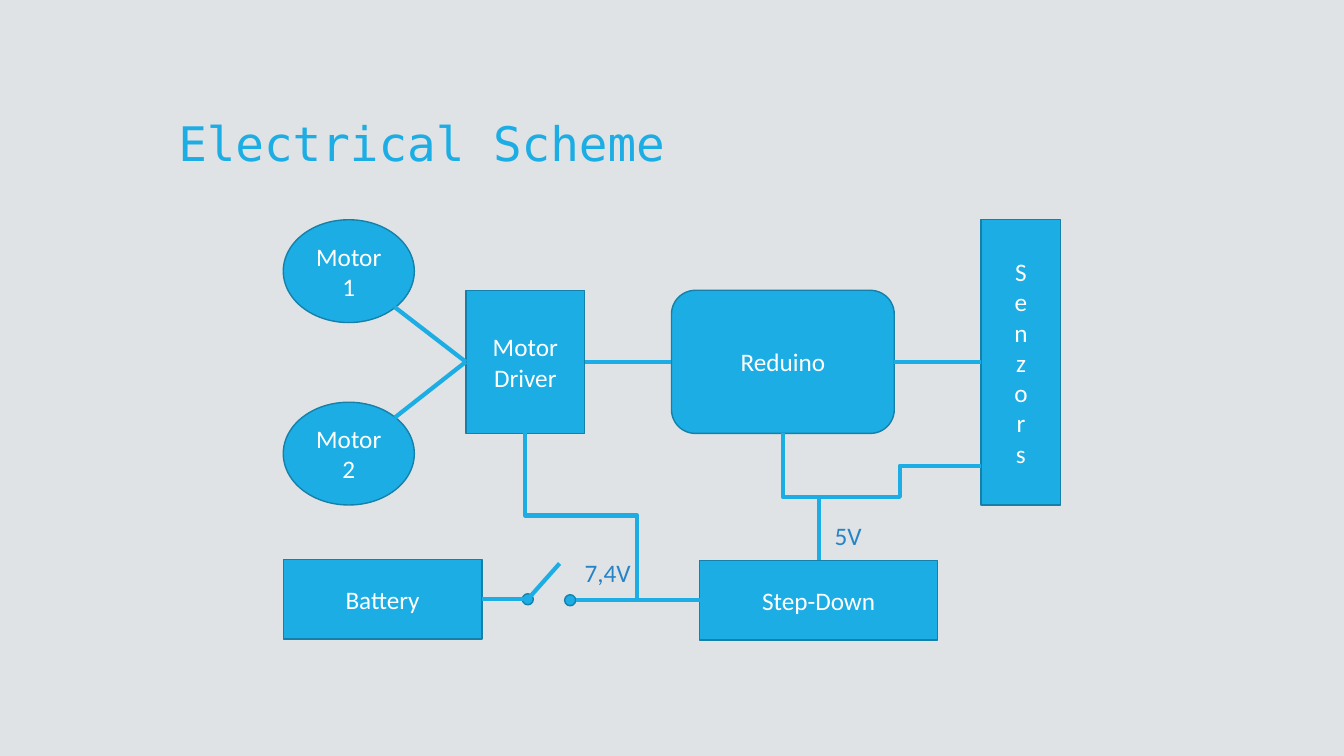
from pptx import Presentation
from pptx.dml.color import RGBColor
from pptx.enum.shapes import MSO_CONNECTOR, MSO_SHAPE
from pptx.enum.text import MSO_ANCHOR, PP_ALIGN
from pptx.oxml.ns import qn
from pptx.oxml.xmlchemy import OxmlElement
from pptx.util import Inches, Pt

RECT, ROUND, OVAL = MSO_SHAPE.RECTANGLE, MSO_SHAPE.ROUNDED_RECTANGLE, MSO_SHAPE.OVAL
STRAIGHT, ELBOW = MSO_CONNECTOR.STRAIGHT, MSO_CONNECTOR.ELBOW
MIDDLE, BOTTOM, CENTER = MSO_ANCHOR.MIDDLE, MSO_ANCHOR.BOTTOM, PP_ALIGN.CENTER
COLORS = {"bg": "DFE3E5", "fill": "1CADE4", "edge": "1580A9", "label": "2683C6", "white": "FFFFFF"}
BODY, MONO = "Calibri", "DejaVu Sans Mono"
BLOCKS = {
    "reduino": (ROUND, (3.85, 0.7, 2.21, 1.42), ["Reduino"]),
    "driver": (RECT, (1.81, 0.7, 1.18, 1.42), ["Motor", "Driver"]),
    "senzors": (RECT, (6.92, 0, 0.79, 2.83), ["Senzors"]),
    "motor1": (OVAL, (0, 0, 1.3, 1.02), ["Motor", "1"]),
    "motor2": (OVAL, (0, 1.81, 1.3, 1.02), ["Motor", "2"]),
    "battery": (RECT, (0, 3.37, 1.97, 0.79), ["Battery"]),
    "stepdown": (RECT, (4.13, 3.38, 2.36, 0.79), ["Step-Down"]),
    "pole": (OVAL, (2.37, 3.71, 0.11, 0.11), []),
    "contact": (OVAL, (2.79, 3.72, 0.11, 0.11), []),
}


def rgb(name):
    """Return the named palette colour."""
    return RGBColor.from_string(COLORS[name])


def write(tf, lines, size, font, color, align=None):
    """Write each line as a paragraph with one run."""
    for i, line in enumerate(lines):
        p = tf.add_paragraph() if i else tf.paragraphs[0]
        p.alignment = align
        r = p.add_run()
        r.text = line
        r.font.size, r.font.name = Pt(size), font
        r.font.color.rgb = rgb(color)


def add_text(s, box, text, size, font, color, anchor=None):
    """Add a wrapped text box."""
    tf = s.shapes.add_textbox(*map(Inches, box)).text_frame
    tf.word_wrap = True
    tf.vertical_anchor = anchor
    write(tf, [text], size, font, color)
    return tf


def add_block(s, kind, box, lines):
    """Add a filled block with centred text."""
    sp = s.shapes.add_shape(kind, *map(Inches, box))
    sp.shadow.inherit = False
    sp.fill.solid()
    sp.fill.fore_color.rgb = rgb("fill")
    sp.line.color.rgb = rgb("edge")
    sp.line.width = Pt(1)
    sp.text_frame.vertical_anchor = MIDDLE
    write(sp.text_frame, lines, 18, BODY, "white", CENTER)
    return sp


def add_wire(s, start, end, kind=STRAIGHT):
    """Add a wire between two points."""
    cxn = s.shapes.add_connector(kind, *map(Inches, start + end))
    cxn.line.color.rgb = rgb("fill")
    cxn.line.width = Pt(3)
    cxn._element.spPr.append(OxmlElement("a:effectLst"))
    return cxn


def add_vertical_elbow(s, start, end):
    """Add a bent wire that leaves vertically, as a quarter-turned elbow."""
    (x1, y1), (x2, y2) = start, end
    mx, my, u, v = (x1 + x2) / 2, (y1 + y2) / 2, (y2 - y1) / 2, (x1 - x2) / 2
    cxn = add_wire(s, (mx - u, my - v), (mx + u, my + v), ELBOW)
    cxn._element.spPr.find(qn("a:xfrm")).set("rot", "5400000")


def add_title(s, box):
    """Place the slide title at the bottom of its box."""
    tf = add_text(s, box, "Electrical Scheme", 34, MONO, "fill", BOTTOM)
    tf.paragraphs[0].line_spacing = 0.9


def add_scheme(s, left, top):
    """Draw the circuit with its top left corner at the given point."""
    boxes = {}
    for name, (kind, (x, y, w, h), lines) in BLOCKS.items():
        boxes[name] = (left + x, top + y, w, h)
        sp = add_block(s, kind, boxes[name], lines)
        if name == "senzors":
            sp.text_frame._txBody.bodyPr.set("vert", "wordArtVert")

    def at(name, fx, fy):
        """Return a point at fractions of a block's width and height."""
        x, y, w, h = boxes[name]
        return x + fx * w, y + fy * h

    add_wire(s, at("motor1", 0.85, 0.85), at("driver", 0, 0.5))
    add_wire(s, at("motor2", 0.85, 0.15), at("driver", 0, 0.5))
    add_wire(s, at("driver", 1, 0.5), at("reduino", 0, 0.5))
    add_wire(s, at("reduino", 1, 0.5), (at("senzors", 0, 0)[0], at("reduino", 1, 0.5)[1]))
    add_wire(s, at("battery", 1, 0.5), at("pole", 0.5, 0.5))
    add_wire(s, at("pole", 0.5, 0.5), (left + 2.74, top + 3.41))
    add_wire(s, at("stepdown", 0, 0.5), at("contact", 1, 0.5))

    supply = at("stepdown", 0.5, 0)
    reduino = at("reduino", 0.5, 1)
    add_vertical_elbow(s, at("driver", 0.5, 1), (left + 3.51, top + 3.75))
    add_vertical_elbow(s, supply, reduino)
    junction = supply[0], (supply[1] + reduino[1]) / 2
    add_wire(s, junction, (at("senzors", 0, 0)[0], top + 2.44), ELBOW)

    for text, x, y in (("5V", 5.37, 2.93), ("7,4V", 2.89, 3.3)):
        add_text(s, (left + x, top + y, 0.75, 0.4), text, 18, BODY, "label")


def main():
    """Build and save the slide."""
    prs = Presentation()
    prs.slide_width, prs.slide_height = Inches(13.33), Inches(7.5)
    s = prs.slides.add_slide(prs.slide_layouts[6])
    s.background.fill.solid()
    s.background.fill.fore_color.rgb = rgb("bg")
    add_title(s, (1.67, 0.5, 10, 1.25))
    add_scheme(s, 2.81, 2.18)
    prs.save("out.pptx")


if __name__ == "__main__":
    main()
